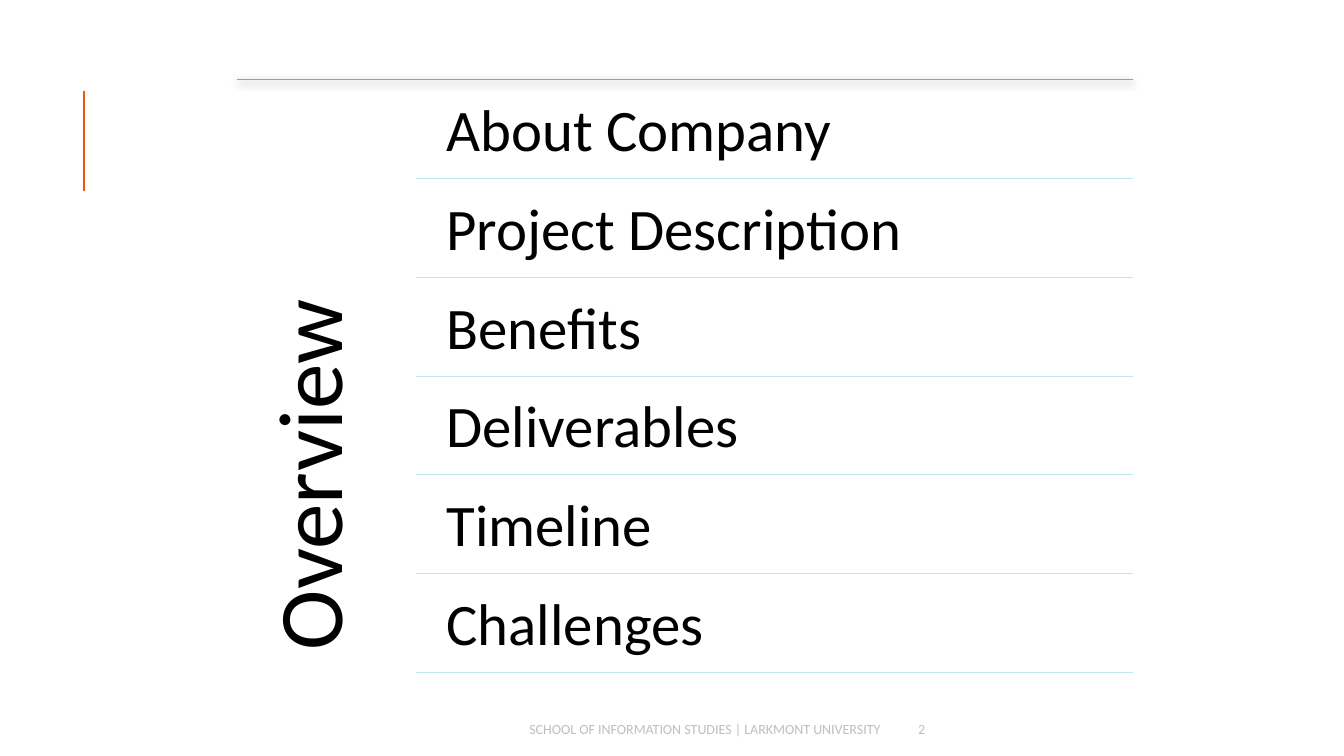
from pptx import Presentation
from pptx.dml.color import RGBColor
from pptx.enum.shapes import MSO_CONNECTOR
from pptx.enum.text import MSO_ANCHOR, PP_ALIGN
from pptx.oxml import parse_xml
from pptx.oxml.ns import nsdecls
from pptx.util import Inches, Pt

COLORS = {"accent": "EE5612", "top": "27CED7", "rule": "BEE8EC",
          "text": "000000", "footer": "BFBFBF"}
TOPICS = ["About Company", "Project Description", "Benefits",
          "Deliverables", "Timeline", "Challenges"]

# Shares of the slide, in percent
LIST_LEFT, LIST_RIGHT, LIST_TOP = 17.63, 84.3, 10.53
RULE_LEFT, TOPIC_LEFT = 30.98, 31.95
ROW_PITCH, TOPIC_GAP, TOPIC_HEIGHT = 13.07, 0.53, 12.4
FOOTER_TOP, FOOTER_HEIGHT = 94.4, 4

SHADOW = ('<a:outerShdw blurRad="76200" dist="25400" dir="5400000" '
          'algn="ctr" rotWithShape="0"><a:srgbClr val="000000">'
          '<a:alpha val="60000"/></a:srgbClr></a:outerShdw>')


class SlideBuilder:
    """Draws elements whose lengths are percentages of the slide's size."""

    font = "Calibri"

    def __init__(self, deck):
        self.deck = deck
        self.slide = deck.slides.add_slide(deck.slide_layouts[6])

    def across(self, share):
        return round(self.deck.slide_width * share / 100)

    def down(self, share):
        return round(self.deck.slide_height * share / 100)

    def line(self, left, top, right, bottom, color, width=0.75, effect=""):
        line = self.slide.shapes.add_connector(
            MSO_CONNECTOR.STRAIGHT, self.across(left), self.down(top),
            self.across(right), self.down(bottom))
        line.line.color.rgb = RGBColor.from_string(COLORS[color])
        line.line.width = Pt(width)
        line._element.spPr.append(parse_xml(
            f'<a:effectLst {nsdecls("a")}>{effect}</a:effectLst>'))

    def text(self, words, left, top, width, height, size, color="text",
             inset=None, spacing=None, anchor=MSO_ANCHOR.TOP,
             align=PP_ALIGN.LEFT, direction=None):
        box = self.slide.shapes.add_textbox(
            self.across(left), self.down(top),
            self.across(width), self.down(height))
        frame = box.text_frame
        frame.text = words
        frame.word_wrap = True
        frame.vertical_anchor = anchor
        if inset is not None:
            frame.margin_left = frame.margin_right = Inches(inset)
            frame.margin_top = frame.margin_bottom = Inches(inset)
        if direction:
            frame._txBody.bodyPr.set("vert", direction)
        para = frame.paragraphs[0]
        para.alignment = align
        para.line_spacing = spacing
        font = para.runs[0].font
        font.name = self.font
        font.size = Pt(size)
        font.color.rgb = RGBColor.from_string(COLORS[color])

    def footer(self, words, left, width, align):
        self.text(words, left, FOOTER_TOP, width, FOOTER_HEIGHT, 10, "footer",
                  anchor=MSO_ANCHOR.MIDDLE, align=align)

    def topic(self, words, index):
        top = LIST_TOP + index * ROW_PITCH
        self.text(words, TOPIC_LEFT, top + TOPIC_GAP,
                  LIST_RIGHT - TOPIC_LEFT, TOPIC_HEIGHT, 42,
                  inset=0.17, spacing=0.9)
        bottom = top + ROW_PITCH
        self.line(RULE_LEFT, bottom, LIST_RIGHT, bottom, "rule")


def main():
    deck = Presentation()
    deck.slide_width, deck.slide_height = Inches(13.33), Inches(7.5)
    page = SlideBuilder(deck)
    page.line(6.23, 25.33, 6.23, 12, "accent", 1.5)
    page.footer("SCHOOL OF INFORMATION STUDIES | LARKMONT UNIVERSITY",
                29.25, 36.98, PP_ALIGN.RIGHT)
    page.footer("2", 67.58, 10.2, PP_ALIGN.LEFT)
    page.line(LIST_LEFT, LIST_TOP, LIST_RIGHT, LIST_TOP, "top", effect=SHADOW)
    page.text("Overview", LIST_LEFT, LIST_TOP, RULE_LEFT - LIST_LEFT, 79.07,
              65, inset=0.27, spacing=0.9, direction="vert270")
    for index, words in enumerate(TOPICS):
        page.topic(words, index)
    deck.save("out.pptx")


if __name__ == "__main__":
    main()
